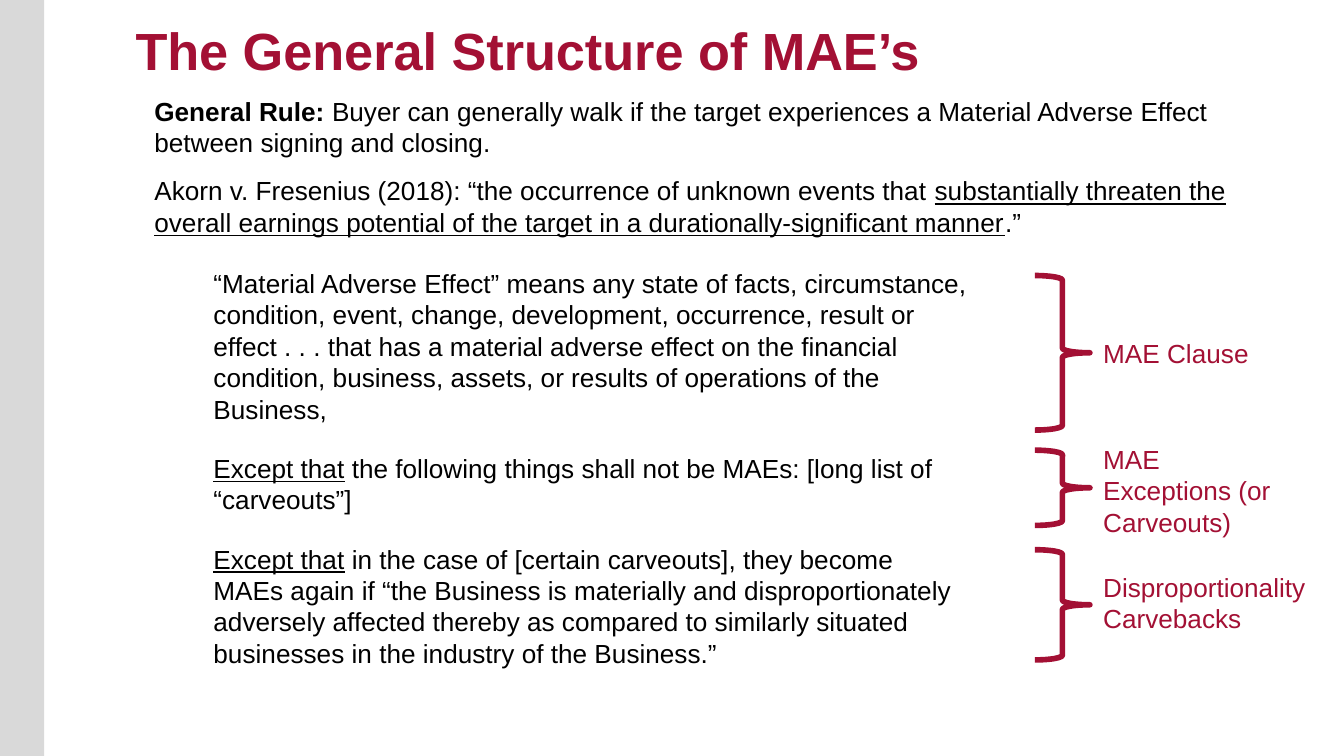
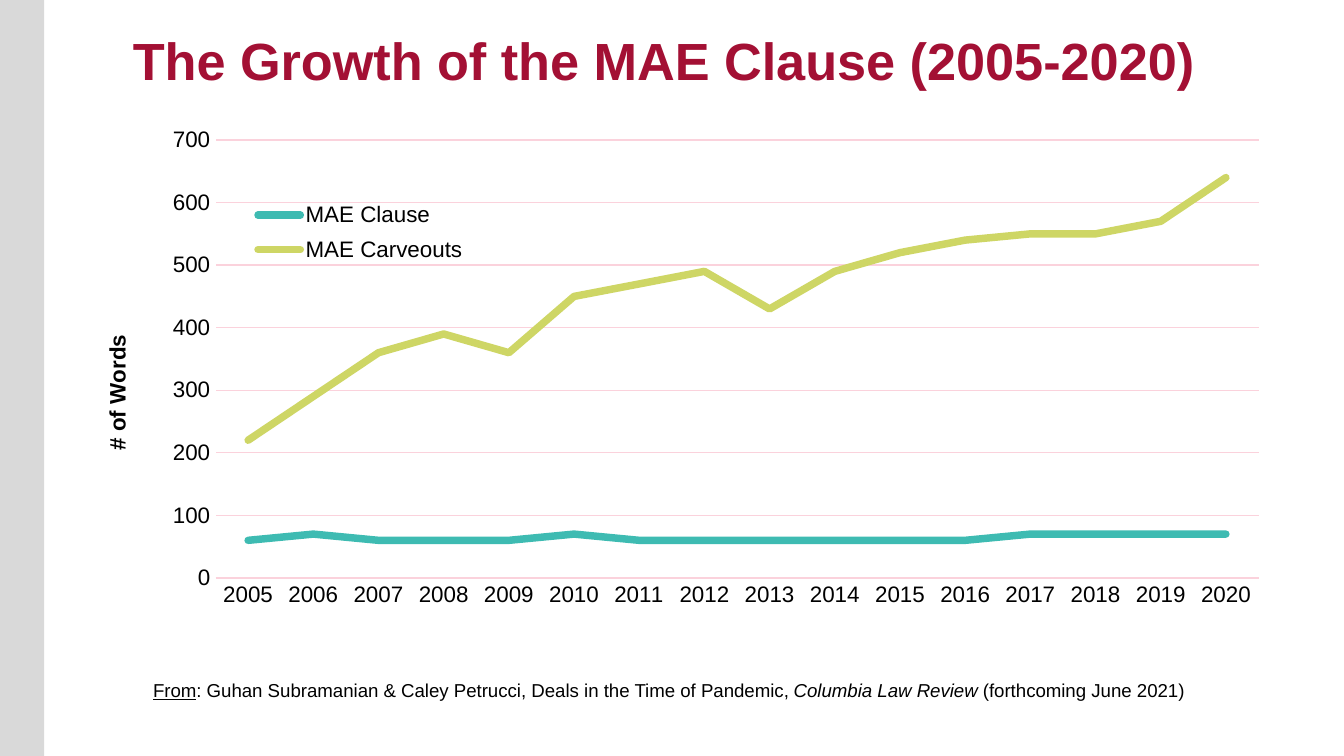
import dataclasses
import typing

import lxml.etree
import pptx
import pptx.chart.data
import pptx.dml.color
import pptx.enum.chart
import pptx.enum.shapes
import pptx.enum.text
import pptx.oxml
import pptx.oxml.ns
import pptx.util

PX = 4572
SLIDE_WIDTH, SLIDE_HEIGHT = 2000, 1125
FONT = "Arial"
CRIMSON = pptx.dml.color.RGBColor(0xA3, 0x10, 0x34)
BLACK = pptx.dml.color.RGBColor(0x00, 0x00, 0x00)
GREY = pptx.dml.color.RGBColor(0xD9, 0xD9, 0xD9)
PINK = pptx.dml.color.RGBColor(0xFB, 0xD2, 0xDC)
TEAL = pptx.dml.color.RGBColor(0x3E, 0xBB, 0xB2)
LIME = pptx.dml.color.RGBColor(0xCE, 0xD6, 0x65)
BRACE_LEFT, BRACE_WIDTH, LABEL_LEFT = 1540, 82, 1622


class Box(typing.NamedTuple):
    left: int
    top: int
    width: int
    height: int

    def emu(self) -> list[int]:
        return [value * PX for value in self]


class Run(typing.NamedTuple):
    text: str
    bold: bool = False
    underline: bool = False
    italic: bool = False


@dataclasses.dataclass(frozen=True)
class TextStyle:
    size: int
    color: pptx.dml.color.RGBColor = BLACK
    bold: bool = False
    space_after: int = 0
    wrap: bool = True


@dataclasses.dataclass(frozen=True)
class BracedLabel:
    text: str
    brace_top: int
    brace_height: int
    label_top: int
    label_width: int
    label_height: int


@dataclasses.dataclass(frozen=True)
class WordSeries:
    name: str
    color: pptx.dml.color.RGBColor
    words: tuple[int, ...]


TITLE = TextStyle(28, CRIMSON, bold=True, wrap=False)
RULE = TextStyle(14, space_after=9)
CLAUSE = TextStyle(14, space_after=15)
LABEL = TextStyle(14, CRIMSON)
SOURCE = TextStyle(10, wrap=False)

RULE_TEXT = [
    [
        Run("General Rule: ", bold=True),
        Run("Buyer can generally walk if the target experiences a Material Adverse Effect "
            "between signing and closing."),
    ],
    [
        Run("Akorn v. Fresenius (2018): “the occurrence of unknown events that "),
        Run("substantially threaten the overall earnings potential of the target in a "
            "durationally-significant manner", underline=True),
        Run(".”"),
    ],
]
CLAUSE_TEXT = [
    [
        Run("“Material Adverse Effect” means any state of facts, circumstance, condition, event, "
            "change, development, occurrence, result or effect . . . that has a material adverse "
            "effect on the financial condition, business, assets, or results of operations of the "
            "Business,"),
    ],
    [
        Run("Except that", underline=True),
        Run(" the following things shall not be MAEs: [long list of “carveouts”]"),
    ],
    [
        Run("Except that", underline=True),
        Run(" in the case of [certain carveouts], they become MAEs again if “the Business is "
            "materially and disproportionately adversely affected thereby as compared to similarly "
            "situated businesses in the industry of the Business.”"),
    ],
]
SOURCE_TEXT = [
    [
        Run("From", underline=True),
        Run(": Guhan Subramanian & Caley Petrucci, Deals in the Time of Pandemic, "),
        Run("Columbia Law Review ", italic=True),
        Run("(forthcoming June 2021)"),
    ],
]
BRACED_LABELS = [
    BracedLabel("MAE Clause", 410, 230, 492, 306, 68),
    BracedLabel("MAE Exceptions (or Carveouts)", 670, 112, 650, 306, 162),
    BracedLabel("Disproportionality Carvebacks", 818, 164, 840, 348, 114),
]
YEARS = [str(year) for year in range(2005, 2021)]
WORD_SERIES = [
    WordSeries("MAE Clause", TEAL,
               (60, 70, 60, 60, 60, 70, 60, 60, 60, 60, 60, 60, 70, 70, 70, 70)),
    WordSeries("MAE Carveouts", LIME,
               (220, 290, 360, 390, 360, 450, 470, 490, 430, 490, 520, 540, 550, 550, 570, 640)),
]


def add_text(slide, box: Box, paragraphs: list[list[Run]], style: TextStyle) -> None:
    frame = slide.shapes.add_textbox(*box.emu()).text_frame
    frame.word_wrap = style.wrap
    frame.auto_size = pptx.enum.text.MSO_AUTO_SIZE.SHAPE_TO_FIT_TEXT
    for index, runs in enumerate(paragraphs):
        paragraph = frame.add_paragraph() if index else frame.paragraphs[0]
        paragraph.space_after = pptx.util.Pt(style.space_after)
        set_font(paragraph.font, style.size, style.color, style.bold)
        for part in runs:
            run = paragraph.add_run()
            run.text = part.text
            for name in ("bold", "underline", "italic"):
                if getattr(part, name):
                    setattr(run.font, name, True)


def set_font(font, size: int, color: pptx.dml.color.RGBColor = BLACK, bold: bool = False) -> None:
    font.name = FONT
    font.size = pptx.util.Pt(size)
    font.bold = bold
    font.color.rgb = color


def set_line(line, color: pptx.dml.color.RGBColor, width: float) -> None:
    line.color.rgb = color
    line.width = pptx.util.Pt(width)


def add_titled_slide(presentation, title: str, box: Box):
    slide = presentation.slides.add_slide(presentation.slide_layouts[6])
    band = slide.shapes.add_shape(
        pptx.enum.shapes.MSO_SHAPE.RECTANGLE, *Box(0, 0, 66, SLIDE_HEIGHT).emu())
    band.shadow.inherit = False
    band.fill.solid()
    band.fill.fore_color.rgb = GREY
    band.line.fill.background()
    add_text(slide, box, [[Run(title)]], TITLE)
    return slide


def add_braced_label(slide, item: BracedLabel) -> None:
    box = Box(BRACE_LEFT, item.brace_top, BRACE_WIDTH, item.brace_height)
    brace = slide.shapes.add_shape(pptx.enum.shapes.MSO_SHAPE.RIGHT_BRACE, *box.emu())
    brace.shadow.inherit = False
    brace.fill.background()
    set_line(brace.line, CRIMSON, 3)
    label_box = Box(LABEL_LEFT, item.label_top, item.label_width, item.label_height)
    add_text(slide, label_box, [[Run(item.text)]], LABEL)


def place(element, successors: tuple[str, ...], **settings: typing.Any) -> None:
    for old in element.findall(pptx.oxml.ns.qn("c:layout")):
        element.remove(old)
    layout = pptx.oxml.parse_xml(f"<c:layout {pptx.oxml.ns.nsdecls('c')}><c:manualLayout/></c:layout>")
    for name, value in settings.items():
        lxml.etree.SubElement(layout[0], pptx.oxml.ns.qn(f"c:{name}")).set("val", str(value))
    element.insert_element_before(layout, *successors)


def add_word_chart(slide, box: Box) -> None:
    data = pptx.chart.data.CategoryChartData(number_format="0")
    data.categories = YEARS
    for item in WORD_SERIES:
        data.add_series(item.name, item.words)
    chart = slide.shapes.add_chart(
        pptx.enum.chart.XL_CHART_TYPE.LINE, *box.emu(), data).chart
    chart.has_title = False
    set_font(chart.font, 12)
    for series, item in zip(chart.plots[0].series, WORD_SERIES):
        series.smooth = False
        series.marker.style = pptx.enum.chart.XL_MARKER_STYLE.NONE
        set_line(series.format.line, item.color, 4)
        line = series.format.line._get_or_add_ln()
        line.set("cap", "rnd")
        lxml.etree.SubElement(line, pptx.oxml.ns.qn("a:round"))
    chart.plots[0].vary_by_categories = False

    for axis in (chart.category_axis, chart.value_axis):
        axis.major_tick_mark = pptx.enum.chart.XL_TICK_MARK.NONE
        axis.minor_tick_mark = pptx.enum.chart.XL_TICK_MARK.NONE
        set_font(axis.tick_labels.font, 12)
    set_line(chart.category_axis.format.line, PINK, 0.75)
    words_axis = chart.value_axis
    words_axis.minimum_scale, words_axis.maximum_scale, words_axis.major_unit = 0, 700, 100
    words_axis.format.line.fill.background()
    set_line(words_axis.major_gridlines.format.line, PINK, 0.75)
    title = words_axis.axis_title
    title.text_frame.text = "# of Words"
    set_font(title.text_frame.paragraphs[0].font, 12, bold=True)
    place(title._element, ("c:overlay", "c:spPr", "c:txPr"),
          xMode="edge", yMode="edge", x=0.01, y=0.39)

    chart.has_legend = True
    chart.legend.position = pptx.enum.chart.XL_LEGEND_POSITION.BOTTOM
    chart.legend.include_in_layout = False
    set_font(chart.legend.font, 12)
    place(chart.legend._element, ("c:overlay", "c:spPr", "c:txPr"),
          xMode="edge", yMode="edge", x=0.13, y=0.13, w=0.2, h=0.15)
    plot_area = chart.plots[0]._element.getparent()
    place(plot_area, ("c:lineChart",), layoutTarget="inner",
          xMode="edge", yMode="edge", x=0.108, y=0.031, w=0.879, h=0.825)


def build_structure_slide(presentation) -> None:
    slide = add_titled_slide(
        presentation, "The General Structure of MAE’s", Box(182, 18, 1222, 114))
    add_text(slide, Box(298, 388, 1166, 622), CLAUSE_TEXT, CLAUSE)
    for item in BRACED_LABELS:
        add_braced_label(slide, item)
    add_text(slide, Box(210, 132, 1738, 234), RULE_TEXT, RULE)


def build_growth_slide(presentation) -> None:
    slide = add_titled_slide(
        presentation, "The Growth of the MAE Clause (2005-2020)", Box(178, 32, 1640, 114))
    add_word_chart(slide, Box(130, 184, 1766, 790))
    add_text(slide, Box(208, 1000, 1582, 54), SOURCE_TEXT, SOURCE)


def main() -> None:
    """Build the two slides on material adverse effect clauses."""
    presentation = pptx.Presentation()
    presentation.slide_width = SLIDE_WIDTH * PX
    presentation.slide_height = SLIDE_HEIGHT * PX
    build_structure_slide(presentation)
    build_growth_slide(presentation)
    presentation.save("out.pptx")


if __name__ == "__main__":
    main()
